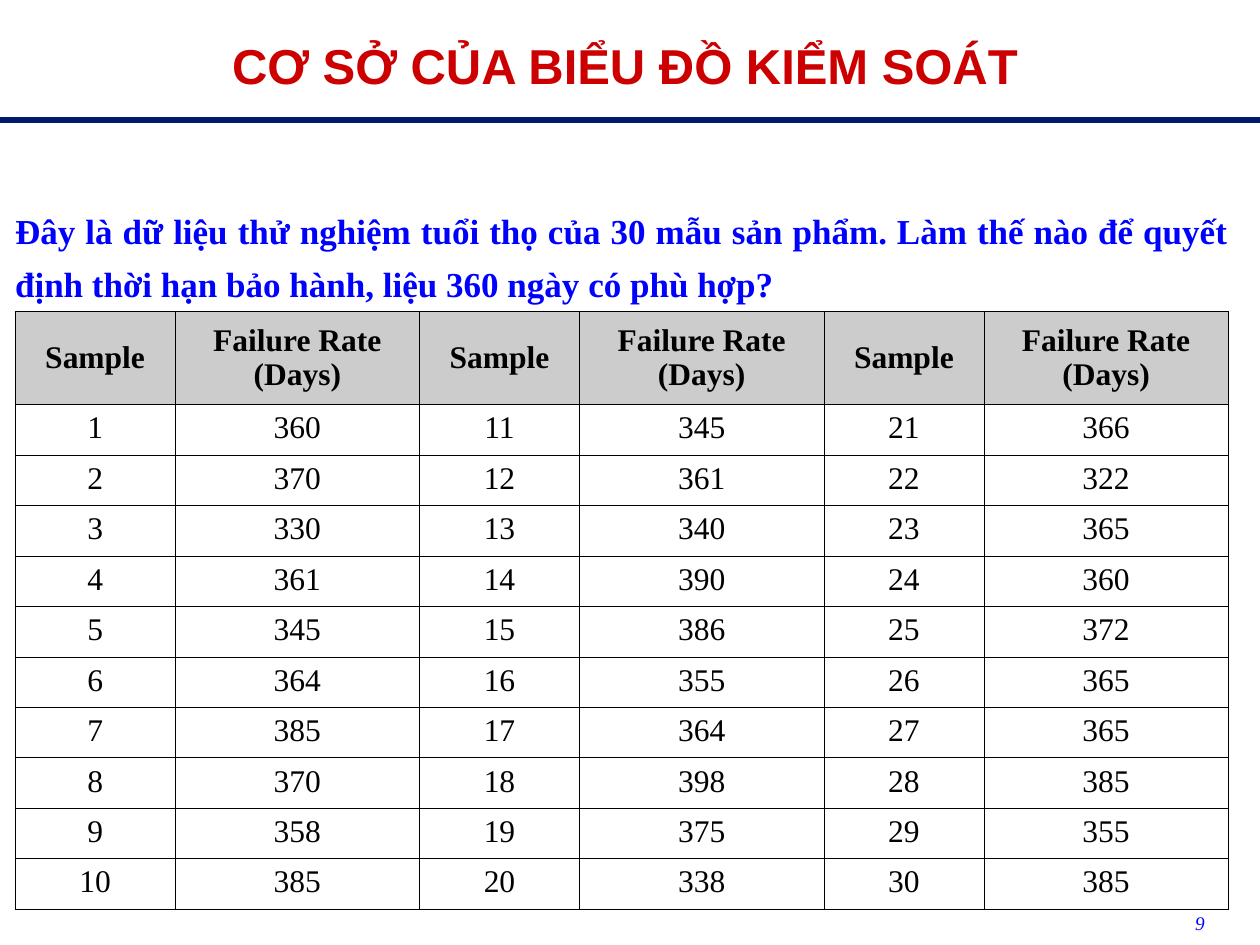
import pptx
import pptx.dml.color
import pptx.enum.shapes
import pptx.enum.text
import pptx.oxml
import pptx.util
from pptx.util import Inches

ALIGN = pptx.enum.text.PP_ALIGN
ANCHOR = pptx.enum.text.MSO_ANCHOR
SERIF = "Times New Roman"


def color(value):
    return pptx.dml.color.RGBColor.from_string(value)


def write(frame, text, align, font_color, size, **font_values):
    paragraph = frame.paragraphs[0]
    paragraph.text = text
    paragraph.alignment = align
    paragraph.font.color.rgb = color(font_color)
    paragraph.font.size = pptx.util.Pt(size)
    for name, value in font_values.items():
        setattr(paragraph.font, name, value)
    return paragraph


presentation = pptx.Presentation()
presentation.slide_width = Inches(10)
presentation.slide_height = Inches(7.5)
slide = presentation.slides.add_slide(presentation.slide_layouts[5])

# Title
title = slide.shapes.title
title_format = {"left": 0, "top": 0, "width": Inches(9.92), "height": Inches(1)}
for name, value in title_format.items():
    setattr(title, name, value)
title.text_frame.vertical_anchor = ANCHOR.TOP
paragraph = write(title.text_frame, "CƠ SỞ CỦA BIỂU ĐỒ KIỂM SOÁT", ALIGN.CENTER,
                  "CC0000", 28, name="Arial", bold=True)
paragraph.line_spacing = 1.5

# Page number
number = slide.shapes.add_textbox(Inches(7.33), Inches(7.18), Inches(2.33), Inches(0.25))
number.text_frame.word_wrap = True
write(number.text_frame, "9", ALIGN.RIGHT, "0000FF", 11, name=SERIF, italic=True)

# Rule under the title
rule = slide.shapes.add_connector(pptx.enum.shapes.MSO_CONNECTOR.STRAIGHT,
                                  0, Inches(0.95), Inches(10), Inches(0.95))
rule.line.color.rgb = color("01186C")
rule.line.width = pptx.util.Pt(3.5)
rule._element.spPr.append(pptx.oxml.parse_xml(
    '<a:effectLst xmlns:a="http://schemas.openxmlformats.org/drawingml/2006/main"/>'))

# Table data: ten samples per pair of columns
failure_days = [
    360, 370, 330, 361, 345, 364, 385, 370, 358, 385,
    345, 361, 340, 390, 386, 355, 364, 398, 375, 338,
    366, 322, 365, 360, 372, 365, 365, 385, 355, 385,
]
rows = [["Sample", "Failure Rate (Days)"] * 3]
for first in range(10):
    rows.append([str(value) for index in range(first, 30, 10)
                 for value in (index + 1, failure_days[index])])

# Table
table = slide.shapes.add_table(len(rows), 6, Inches(0.12), Inches(2.47),
                               Inches(9.63), Inches(4.24)).table
for index, column in enumerate(table.columns):
    column.width = Inches((1.27, 1.94)[index % 2])
for index, row in enumerate(table.rows):
    row.height = Inches(0.35 if index else 0.74)

BORDER = ('<a:{} xmlns:a="http://schemas.openxmlformats.org/drawingml/2006/main" w="2921">'
          '<a:solidFill><a:srgbClr val="000000"/></a:solidFill></a:{}>')
for row_index, row in enumerate(rows):
    is_header = row_index == 0
    cell_format = {
        "margin_left": Inches(0.01), "margin_right": Inches(0.01),
        "margin_top": Inches(0.05), "margin_bottom": Inches(0.05),
        "vertical_anchor": ANCHOR.MIDDLE if is_header else ANCHOR.TOP,
    }
    for column_index, text in enumerate(row):
        cell = table.cell(row_index, column_index)
        for name, value in cell_format.items():
            setattr(cell, name, value)
        write(cell.text_frame, text, ALIGN.CENTER, "000000", 18,
              name=SERIF, bold=is_header)
        properties = cell._tc.get_or_add_tcPr()
        for side in ("lnL", "lnR", "lnT", "lnB"):
            properties.append(pptx.oxml.parse_xml(BORDER.format(side, side)))
        cell.fill.solid()
        cell.fill.fore_color.rgb = color("CCCCCC" if is_header else "FFFFFF")

# Question above the table
question = slide.shapes.add_textbox(Inches(0.12), Inches(1.58), Inches(9.63), Inches(0.89))
frame_format = {"word_wrap": True, "margin_left": 0, "margin_right": 0,
                "margin_top": 0, "margin_bottom": 0}
for name, value in frame_format.items():
    setattr(question.text_frame, name, value)
paragraph = write(
    question.text_frame,
    "Đây là dữ liệu thử nghiệm tuổi thọ của 30 mẫu sản phẩm. Làm thế nào để quyết "
    "định thời hạn bảo hành, liệu 360 ngày có phù hợp?",
    ALIGN.JUSTIFY, "0000FF", 20, name=SERIF, bold=True)
paragraph.line_spacing = 1.25

presentation.save("out.pptx")
